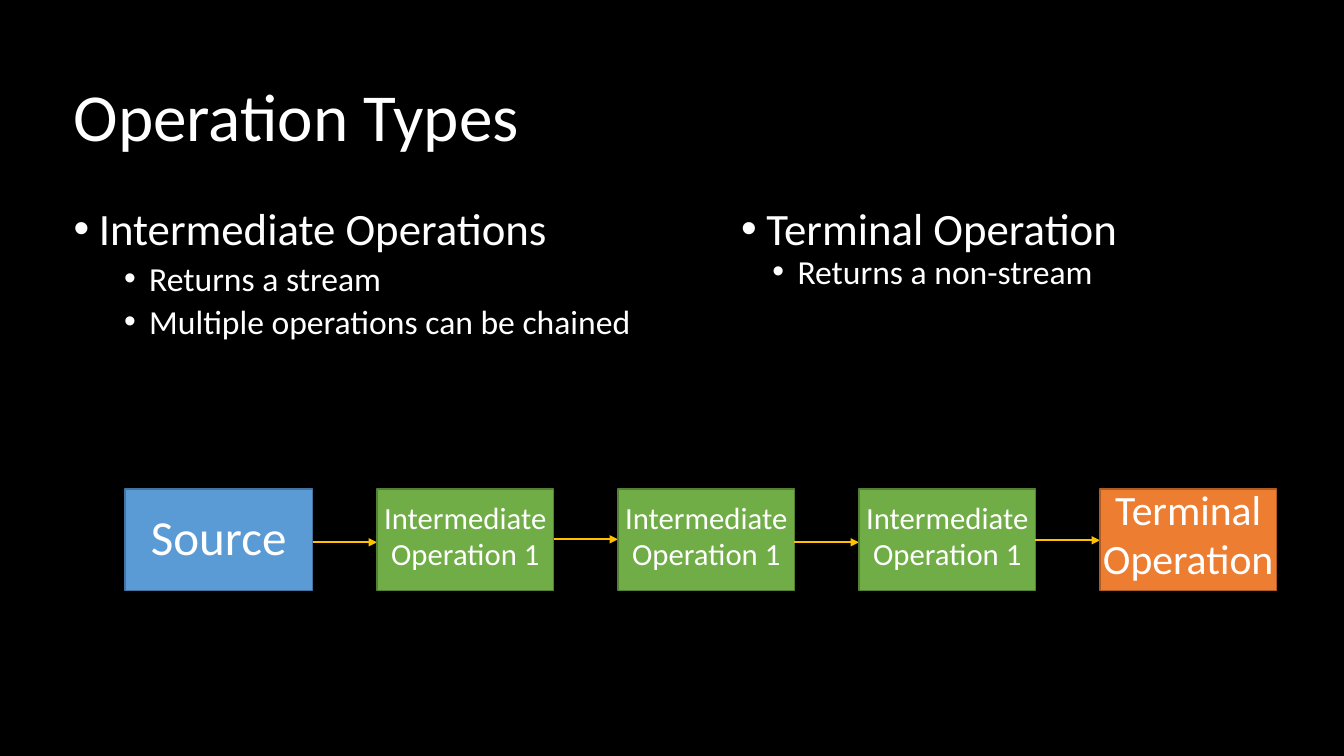
from pptx import Presentation
from pptx.dml.color import RGBColor
from pptx.enum.shapes import MSO_CONNECTOR, MSO_SHAPE
from pptx.enum.text import MSO_ANCHOR, MSO_AUTO_SIZE, PP_ALIGN
from pptx.oxml.ns import qn
from pptx.util import Inches, Pt
from lxml import etree

RECT = MSO_SHAPE.RECTANGLE
LINE = MSO_CONNECTOR.STRAIGHT
MIDDLE, BOTTOM = MSO_ANCHOR.MIDDLE, MSO_ANCHOR.BOTTOM
LEFT, CENTER = PP_ALIGN.LEFT, PP_ALIGN.CENTER
FIXED = MSO_AUTO_SIZE.NONE

HUES = {"back": "000000", "text": "FFFFFF", "arrow": "FFC000",
        "source": "5B9BD5", "source_edge": "43739E",
        "inter": "70AD47", "inter_edge": "538035",
        "final": "ED7D31", "final_edge": "AF5C24"}
INTER = (["Intermediate", "Operation 1"], "inter", 1.75, 21.9, 0.7)
STAGES = [(["Source"], "source", 1.86, 35, 0.9), INTER, INTER, INTER,
          (["Terminal", "Operation"], "final", 1.75, 29.8, 0.7)]
LEVELS = [5.38, 5.35, 5.38, 5.36]
START, TOP, HIGH, GAP = 1.24, 4.85, 1.01, 0.64


def hue(name):
    """Return the named colour."""
    return RGBColor.from_string(HUES[name])


def apply(item, values):
    """Set each attribute in a dict of format values."""
    for name, value in values.items():
        setattr(item, name, value)


def place(shape, left, top, width, height):
    """Move and size a shape, in inches."""
    apply(shape, {"left": Inches(left), "top": Inches(top),
                  "width": Inches(width), "height": Inches(height)})


def write(para, text, size, **form):
    """Fill a paragraph with white Calibri text."""
    para.text = text
    apply(para, form)
    apply(para.font, {"name": "Calibri", "size": Pt(size)})
    para.font.color.rgb = hue("text")


def add_title(slide, text):
    """Fill the title placeholder."""
    title = slide.shapes.title
    place(title, 0.63, 0.57, 5.23, 1.03)
    apply(title.text_frame, {"vertical_anchor": BOTTOM, "auto_size": FIXED})
    write(title.text_frame.paragraphs[0], text, 48,
          alignment=LEFT, line_spacing=0.9)


def add_list(body, box, head, points, inset, gaps):
    """Fill a body placeholder with a heading and its points."""
    place(body, *box)
    frame = body.text_frame
    frame.auto_size = FIXED
    for i, text in enumerate([head] + points):
        para = frame.add_paragraph() if i else frame.paragraphs[0]
        level = min(i, 1)
        write(para, text, (32, 24)[level], level=level, line_spacing=0.9,
              space_before=Pt(gaps[level]))
        props = para._p.get_or_add_pPr()
        props.set("marL", str(Inches((0.25, inset)[level])))
        props.set("indent", str(Inches(-0.25)))
        etree.SubElement(props, qn("a:buChar"), char="•")


def add_stage(slide, left, lines, kind, width, size, pitch):
    """Draw one box of the stream pipeline."""
    box = slide.shapes.add_shape(RECT, Inches(left), Inches(TOP),
                                 Inches(width), Inches(HIGH))
    box.shadow.inherit = False
    box.fill.solid()
    box.fill.fore_color.rgb = hue(kind)
    box.line.color.rgb = hue(kind + "_edge")
    box.line.width = Pt(1)
    frame = box.text_frame
    apply(frame, {"word_wrap": True, "vertical_anchor": MIDDLE})
    apply(frame, {"margin_" + side: Inches(0.02)
                  for side in ("left", "right", "top", "bottom")})
    for i, text in enumerate(lines):
        para = frame.add_paragraph() if i else frame.paragraphs[0]
        write(para, text, size, alignment=CENTER, line_spacing=pitch,
              space_after=Pt(round(size * 0.32)))


def add_arrow(slide, left, right, level):
    """Draw an arrow between two stages."""
    arrow = slide.shapes.add_connector(LINE, Inches(left), Inches(level),
                                       Inches(right), Inches(level))
    arrow.line.color.rgb = hue("arrow")
    arrow.line.width = Pt(1.5)
    etree.SubElement(arrow.line._get_or_add_ln(), qn("a:tailEnd"),
                     type="triangle")
    etree.SubElement(arrow._element.spPr, qn("a:effectLst"))


def add_flow(slide):
    """Draw the pipeline from source to terminal operation."""
    left = START
    for i, (lines, kind, width, size, pitch) in enumerate(STAGES):
        add_stage(slide, left, lines, kind, width, size, pitch)
        left += width + GAP
        if i < len(LEVELS):
            add_arrow(slide, left - GAP, left, LEVELS[i])


def main():
    """Build and save the slide."""
    deck = Presentation()
    apply(deck, {"slide_width": Inches(13.33), "slide_height": Inches(7.5)})
    slide = deck.slides.add_slide(deck.slide_layouts[3])
    slide.background.fill.solid()
    slide.background.fill.fore_color.rgb = hue("back")
    add_title(slide, "Operation Types")
    add_list(slide.placeholders[1], (0.63, 2, 5.8, 2.05),
             "Intermediate Operations",
             ["Returns a stream", "Multiple operations can be chained"],
             0.75, (10, 5))
    add_list(slide.placeholders[2], (7.25, 2, 6.67, 0.95),
             "Terminal Operation", ["Returns a non-stream"], 0.56, (0, 0))
    add_flow(slide)
    deck.save("out.pptx")


main()
